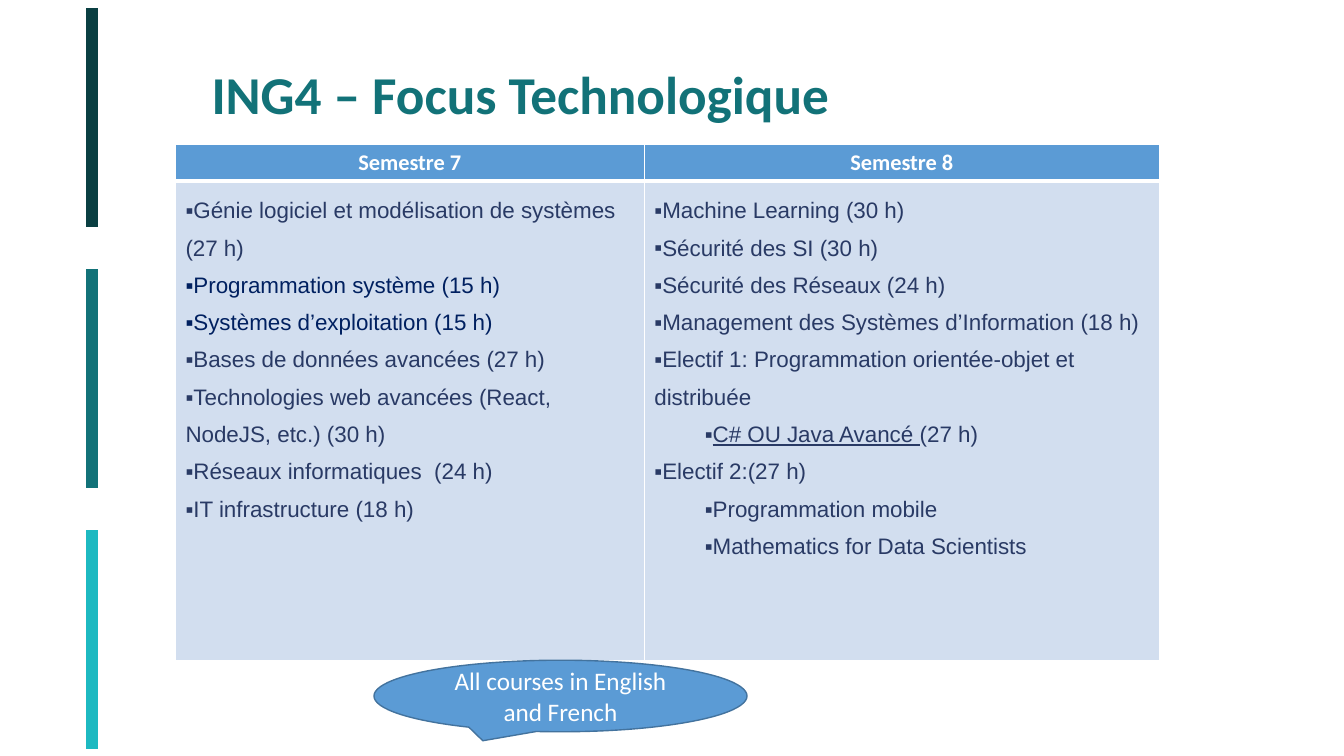
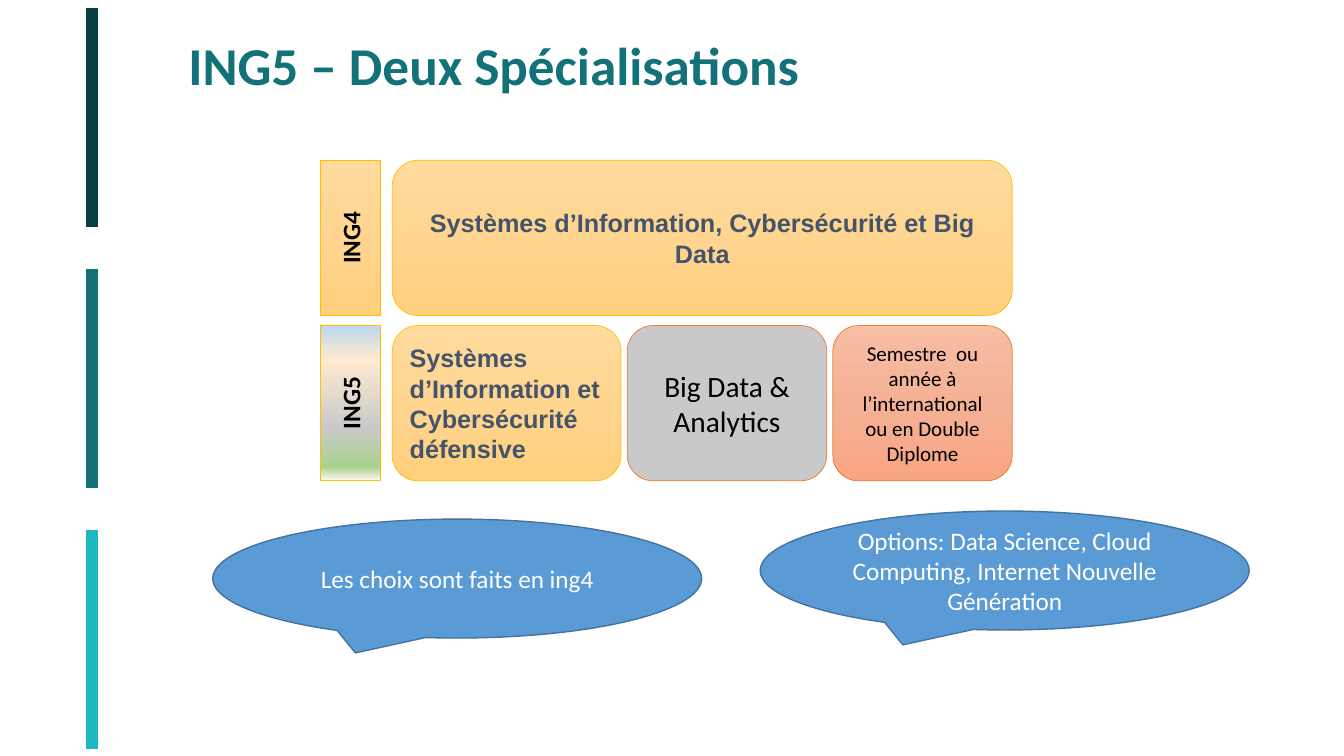
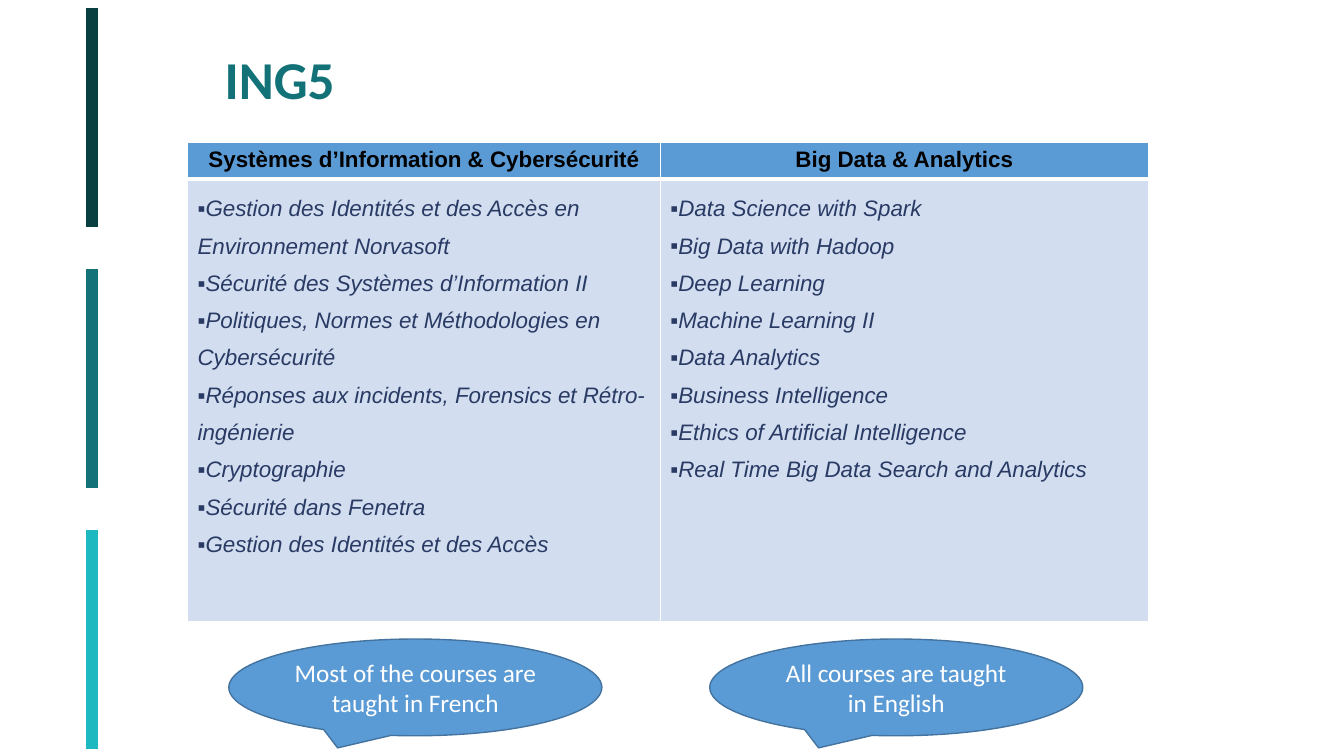
from dataclasses import dataclass

from pptx import Presentation
from pptx.dml.color import RGBColor
from pptx.enum import shapes, text
from pptx.oxml.ns import qn
from pptx.oxml.xmlchemy import OxmlElement

PX = 9144  # EMU per px, 100 px to the inch
PT = 12700


@dataclass(frozen=True)
class Theme:
    heading: str = "Calibri"
    body: str = "Arial"
    teal: str = "127278"
    dark_teal: str = "0A3F42"
    light_teal: str = "1DB9C1"
    blue: str = "5B9BD5"
    blue_edge: str = "43739E"
    pale_blue: str = "D2DEEF"
    ink: str = "293A65"
    navy: str = "002060"
    slate: str = "44546A"
    white: str = "FFFFFF"
    black: str = "000000"
    gold: str = "FFC000"
    orange: str = "ED7D31"
    grey: str = "C9C9C9"
    title_size: int = 38
    large_size: int = 21
    label_size: int = 18
    table_size: int = 16
    small_size: int = 15


T = Theme()
AMBER = [(0, "FFDB9E"), (50, "FFD590"), (100, "FFD07C")]
SALMON = [(0, "F7BDA5"), (50, "F5B196"), (100, "F8A582")]
RAINBOW = [(0, "BDD7EE"), (22, "FFEAD1"), (66, T.grey), (91, "A9D18E"), (100, "FFF7EE")]

# ---- Content: a course is a text, or (level, [(text, style), ...]) ----
BARS = [T.dark_teal, T.teal, T.light_teal]
NAVY = dict(color=T.navy)

ING4_COURSES = dict(
    at=(174, 143), widths=(465, 511), heights=(35, 476),
    header=dict(font=T.heading, color=T.white), course={},
    columns={
        "Semestre 7": [
            "Génie logiciel et modélisation de systèmes (27 h)",
            (0, [("Programmation système (15 h)", NAVY)]),
            (0, [("Systèmes d’exploitation (15 h)", NAVY)]),
            "Bases de données avancées (27 h)",
            "Technologies web avancées (React, NodeJS, etc.) (30 h)",
            "Réseaux informatiques  (24 h)",
            "IT infrastructure (18 h)",
        ],
        "Semestre 8": [
            "Machine Learning (30 h)",
            "Sécurité des SI (30 h)",
            "Sécurité des Réseaux (24 h)",
            "Management des Systèmes d’Information (18 h)",
            "Electif 1: Programmation orientée-objet et distribuée",
            (1, [("C# OU Java Avancé ", dict(underline=True)), ("(27 h)", {})]),
            "Electif 2:(27 h)",
            (1, [("Programmation mobile", {})]),
            (1, [("Mathematics for Data Scientists", {})]),
        ],
    },
)
ING5_COURSES = dict(
    at=(186, 141), widths=(469, 484), heights=(33, 439),
    header=dict(font=T.body, color=T.black), course=dict(italic=True),
    columns={
        "Systèmes d’Information & Cybersécurité": [
            "Gestion des Identités et des Accès en Environnement Norvasoft",
            "Sécurité des Systèmes d’Information II",
            "Politiques, Normes et Méthodologies en Cybersécurité",
            "Réponses aux incidents, Forensics et Rétro-ingénierie",
            "Cryptographie",
            "Sécurité dans Fenetra",
            "Gestion des Identités et des Accès",
        ],
        "Big Data & Analytics": [
            "Data Science with Spark",
            "Big Data with Hadoop",
            "Deep Learning",
            "Machine Learning II",
            "Data Analytics",
            "Business Intelligence",
            "Ethics of Artificial Intelligence",
            "Real Time Big Data Search and Analytics",
        ],
    },
)

# Each year: label, label fill, then its tracks (text, width, fill, edge, alignment, style)
CENTER, LEFT = text.PP_ALIGN.CENTER, text.PP_ALIGN.LEFT
TRACK = dict(font=T.body, size=T.label_size, color=T.slate, bold=True)
YEARS = [
    ("ING4", AMBER, [
        ("Systèmes d’Information, Cybersécurité et Big Data", 615, AMBER, T.gold, CENTER, TRACK),
    ]),
    ("ING5", RAINBOW, [
        ("Systèmes d’Information et Cybersécurité défensive", 227, AMBER, T.gold, LEFT, TRACK),
        ("Big Data & Analytics", 198, T.grey, T.orange, CENTER, dict(size=T.large_size)),
        ("Semestre  ou année à l’international ou en Double Diplome", 178, SALMON, T.orange,
         CENTER, dict(size=T.small_size)),
    ]),
]

SLIDES = [
    dict(title="ING4 – Focus Technologique", title_box=(200, 34, 900, 125),
         courses=ING4_COURSES,
         callouts=[("All courses in English and French", (371, 655, 370, 71))]),
    dict(title="ING5 – Deux Spécialisations", title_box=(177, 33, 967, 70),
         years=YEARS,
         callouts=[("Les choix sont faits en ing4", (211, 515, 485, 118)),
                   ("Options: Data Science, Cloud Computing, Internet Nouvelle Génération",
                    (754, 507, 485, 118))]),
    dict(title="ING5", title_box=(213, 35, 900, 94),
         courses=ING5_COURSES,
         callouts=[("Most of the courses are taught in French", (227, 634, 370, 96)),
                   ("All courses are taught in English", (704, 634, 370, 96))]),
]


# ---- Helpers ----
def emu(*lengths):
    return [length * PX for length in lengths]


def rgb(color):
    return RGBColor.from_string(color)


def add_run(paragraph, words, font=T.heading, size=T.label_size, color=T.black,
            bold=False, italic=False, underline=False):
    run = paragraph.add_run()
    run.text = words
    run.font.name, run.font.size = font, size * PT
    run.font.bold, run.font.italic, run.font.underline = bold, italic, underline
    run.font.color.rgb = rgb(color)


def paint(shape, fill):
    """Fill with one colour, or top to bottom with (percent, colour) stops."""
    if isinstance(fill, str):
        shape.fill.solid()
        shape.fill.fore_color.rgb = rgb(fill)
        return
    shape.fill.gradient()
    shape.fill.gradient_angle = 270
    stops = shape._element.spPr.find(".//" + qn("a:gsLst"))
    for stop in list(stops):
        stops.remove(stop)
    for percent, color in fill:
        stop = OxmlElement("a:gs")
        stop.set("pos", str(percent * 1000))
        tint = OxmlElement("a:srgbClr")
        tint.set("val", color)
        stop.append(tint)
        stops.append(stop)


def add_box(slide, kind, box, words, fill, edge, edge_width, align=CENTER, **style):
    shape = slide.shapes.add_shape(kind, *emu(*box))
    shape.shadow.inherit = False
    paint(shape, fill)
    shape.line.color.rgb = rgb(edge)
    shape.line.width = int(edge_width * PT)
    frame = shape.text_frame
    frame.word_wrap = True
    frame.vertical_anchor = text.MSO_ANCHOR.MIDDLE
    frame.paragraphs[0].alignment = align
    add_run(frame.paragraphs[0], words, **style)
    return shape


def set_borders(cell, bottom):
    props = cell._tc.get_or_add_tcPr()
    for place, (side, width) in enumerate([("L", 1), ("R", 1), ("T", 1), ("B", bottom)]):
        line = OxmlElement(f"a:ln{side}")
        line.set("w", str(width * PT))
        fill = OxmlElement("a:solidFill")
        color = OxmlElement("a:srgbClr")
        color.set("val", T.white)
        fill.append(color)
        line.append(fill)
        props.insert(place, line)


def set_bullet(paragraph, level):
    props = paragraph._p.get_or_add_pPr()
    props.set("marL", str(level * 50 * PX))
    props.set("indent", "0")
    for tag, name, value in [("a:buFont", "typeface", T.body), ("a:buChar", "char", "▪")]:
        bullet = OxmlElement(tag)
        bullet.set(name, value)
        props.append(bullet)


# ---- Slide parts ----
def add_bars(slide):
    x, top, height, pitch = 91, 8, 217, 259
    for i, color in enumerate(BARS):
        y = top + i * pitch
        bar = slide.shapes.add_connector(
            shapes.MSO_CONNECTOR.STRAIGHT, *emu(x, y, x, y + height))
        bar.line.color.rgb = rgb(color)
        bar.line.width = int(8.25 * PT)
        bar._element.spPr.append(OxmlElement("a:effectLst"))


def add_title(slide, words, box):
    frame = slide.shapes.add_textbox(*emu(*box)).text_frame
    frame.word_wrap = True
    frame.vertical_anchor = text.MSO_ANCHOR.MIDDLE
    frame.paragraphs[0].line_spacing = 0.9
    add_run(frame.paragraphs[0], words, size=T.title_size, color=T.teal, bold=True)


def add_courses(slide, at, widths, heights, header, course, columns):
    table = slide.shapes.add_table(
        2, len(columns), *emu(*at, sum(widths), sum(heights))).table
    for row, height in zip(table.rows, heights):
        row.height = height * PX
    for c, (heading, courses) in enumerate(columns.items()):
        table.columns[c].width = widths[c] * PX
        head, body = table.cell(0, c), table.cell(1, c)
        for cell, fill, bottom in [(head, T.blue, 3), (body, T.pale_blue, 1)]:
            paint(cell, fill)
            set_borders(cell, bottom)
        title = head.text_frame.paragraphs[0]
        title.alignment = CENTER
        add_run(title, heading, size=T.table_size, bold=True, **header)
        for i, entry in enumerate(courses):
            level, runs = (0, [(entry, {})]) if isinstance(entry, str) else entry
            frame = body.text_frame
            paragraph = frame.add_paragraph() if i else frame.paragraphs[0]
            paragraph.level = level
            paragraph.line_spacing = 1.5
            set_bullet(paragraph, level)
            for words, style in runs:
                base = dict(font=T.body, size=T.table_size, color=T.ink)
                add_run(paragraph, words, **{**base, **course, **style})


def add_years(slide, years):
    label_x, label_width, track_x, gap = 318, 59, 389, 6
    top, height, pitch = 159, 154, 164
    for i, (label, label_fill, tracks) in enumerate(years):
        y, x = top + i * pitch, track_x
        tab = add_box(slide, shapes.MSO_SHAPE.RECTANGLE, (label_x, y, label_width, height),
                      label, label_fill, T.gold, 0.5, bold=True)
        tab.text_frame._txBody.bodyPr.set("vert", "vert270")
        for words, width, fill, edge, align, style in tracks:
            add_box(slide, shapes.MSO_SHAPE.ROUNDED_RECTANGLE, (x, y, width, height),
                    words, fill, edge, 0.5, align, **style)
            x += width + gap


def main():
    deck = Presentation()
    deck.slide_width, deck.slide_height = emu(1333, 750)
    for content in SLIDES:
        slide = deck.slides.add_slide(deck.slide_layouts[6])
        add_bars(slide)
        add_title(slide, content["title"], content["title_box"])
        if "courses" in content:
            add_courses(slide, **content["courses"])
        if "years" in content:
            add_years(slide, content["years"])
        for words, box in content["callouts"]:
            add_box(slide, shapes.MSO_SHAPE.OVAL_CALLOUT, box, words,
                    T.blue, T.blue_edge, 1, color=T.white)
    deck.save("out.pptx")


if __name__ == "__main__":
    main()
